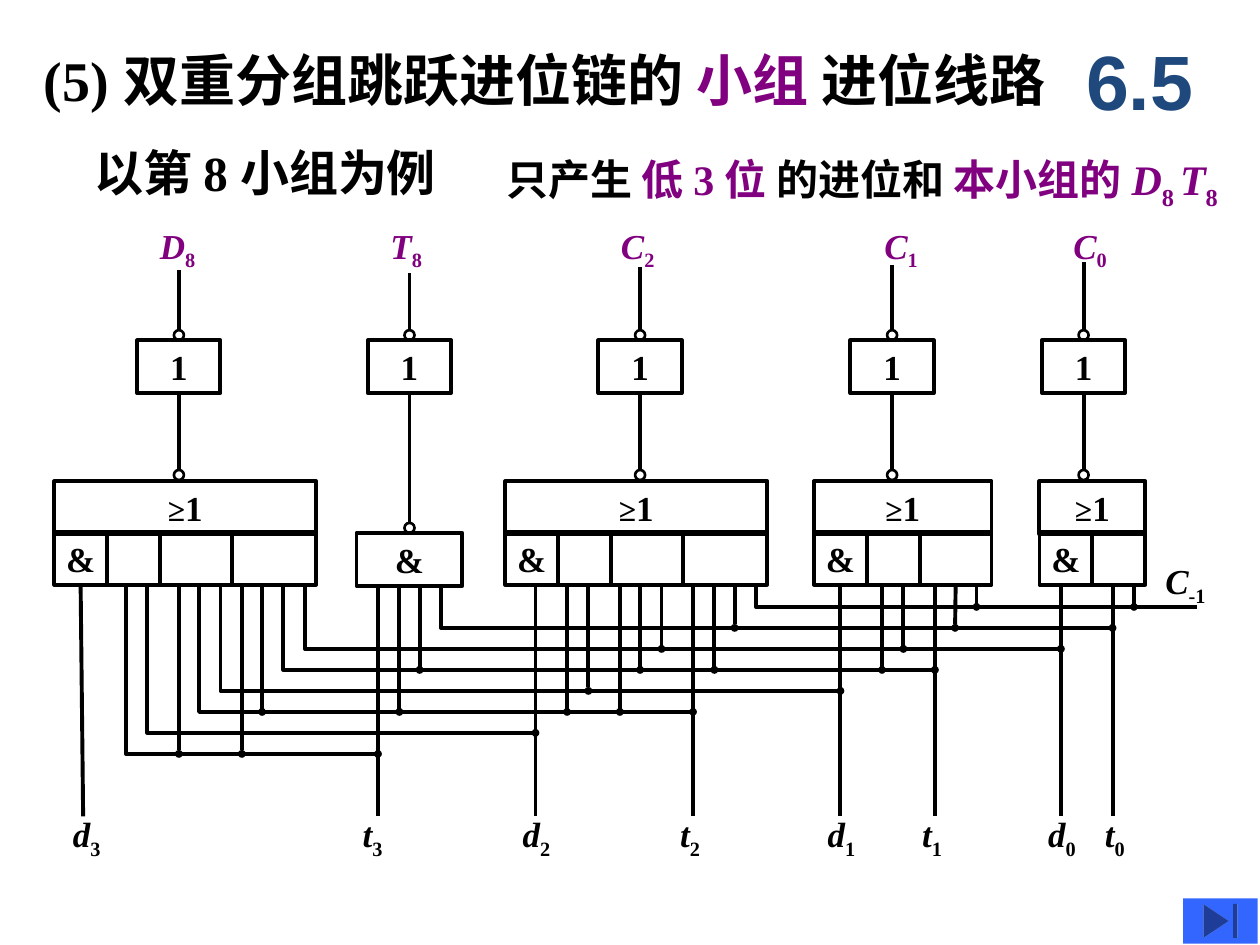
from itertools import accumulate

from lxml.etree import SubElement
from pptx import Presentation
from pptx.dml.color import RGBColor
from pptx.enum.shapes import MSO_CONNECTOR, MSO_SHAPE
from pptx.enum.text import MSO_ANCHOR, PP_ALIGN
from pptx.oxml.ns import qn
from pptx.util import Inches, Pt

BLACK, PURPLE, NAVY, BLUE = "000000", "800080", "1F497D", "3366FF"
SERIF = "Times New Roman"
CELL_WIDTHS = [0.42, 0.42, 0.57, 0.67]
GATE_BOTTOM = 4.65

OUTPUTS = [
    ("D", "8", 1.42, 1.17, 2.14, 3.73),
    ("T", "8", 3.25, 3, 2.17, 4.15),
    ("C", "2", 5.08, 4.83, 2.12, 3.73),
    ("C", "1", 7.08, 6.92, 2.1, 3.73),
    ("C", "0", 8.6, 8.42, 2.08, 3.73),
]
OR_GATES = [(0.43, 4), (4.01, 4), (6.46, 3), (8.25, 2)]
INPUTS = [
    ("d", "3", 0.66, 0.48, 0.43), ("t", "3", 3, 2.78, 0.37),
    ("d", "2", 4.25, 4.05, 0.43), ("t", "2", 5.5, 5.3, 0.37),
    ("d", "1", 6.67, 6.47, 0.43), ("t", "1", 7.42, 7.22, 0.37),
    ("d", "0", 8.42, 8.22, 0.43), ("t", "0", 8.83, 8.67, 0.37),
]
BUSES = [
    (6, 9.5, [7.75, 9]),
    (3.5, 8.83, [5.83, 7.58]),
    (2.42, 8.42, [5.25, 7.17]),
    (2.25, 7.42, [3.33, 5.08, 5.67, 7]),
    (1.75, 6.67, [4.67]),
    (1.58, 5.5, [2.08, 3.17, 4.5, 4.92]),
    (1.17, 4.25, []),
    (1, 3, [1.42, 1.92]),
]


def rgb(color):
    return RGBColor.from_string(color)


def write_text(frame, runs, size=20, color=BLACK, font=SERIF, align=None,
               anchor=MSO_ANCHOR.TOP, wrap=True, margins=None):
    frame.word_wrap = wrap
    frame.vertical_anchor = anchor
    if margins is not None:
        frame.margin_left = frame.margin_right = Inches(margins)
        frame.margin_top = frame.margin_bottom = Inches(margins)
    paragraph = frame.paragraphs[0]
    paragraph.alignment = align
    for text, style in runs:
        run = paragraph.add_run()
        run.text = text
        run.font.name = font
        run.font.size = Pt(style.get("size", size))
        run.font.bold = True
        run.font.italic = style.get("italic", False)
        run.font.color.rgb = rgb(style.get("color", color))
        if style.get("subscript"):
            run.font._element.set("baseline", "-25000")


def add_text(slide, runs, left, top, width, height, **style):
    box = slide.shapes.add_textbox(Inches(left), Inches(top), Inches(width), Inches(height))
    write_text(box.text_frame, runs, **style)


def signal(letter, index, color=BLACK):
    return [(letter, {"italic": True, "color": color}),
            (index, {"subscript": True, "color": color})]


def add_signal(slide, letter, index, left, top, width, color=BLACK):
    add_text(slide, signal(letter, index, color), left, top, width, 0.43, wrap=False)


def add_outline(slide, kind, left, top, width, height, weight=2.25):
    outline = slide.shapes.add_shape(
        kind, Inches(left), Inches(top), Inches(width), Inches(height))
    outline.shadow.inherit = False
    outline.fill.background()
    outline.line.color.rgb = rgb(BLACK)
    outline.line.width = Pt(weight)
    return outline


def add_block(slide, left, top, width, runs=()):
    block = add_outline(slide, MSO_SHAPE.RECTANGLE, left, top, width, 0.42)
    if runs:
        write_text(block.text_frame, runs, align=PP_ALIGN.CENTER,
                   anchor=MSO_ANCHOR.MIDDLE, margins=0)
    return block


def add_bubble(slide, center, top):
    return add_outline(slide, MSO_SHAPE.OVAL, center - 0.04, top, 0.08, 0.08, weight=1.5)


def style_wire(wire, dot):
    wire.line.color.rgb = rgb(BLACK)
    wire.line.width = Pt(2.25)
    if dot:
        SubElement(wire.line._get_or_add_ln(), qn("a:tailEnd"), type="oval", w="sm", len="sm")


def add_wire(slide, x, top, bottom, start=None, end=None, dot=False):
    wire = slide.shapes.add_connector(
        MSO_CONNECTOR.STRAIGHT, Inches(x), Inches(top), Inches(x), Inches(bottom))
    if start is not None:
        wire.begin_connect(start, 2)
    if end is not None:
        wire.end_connect(end, 0)
    style_wire(wire, dot)
    SubElement(wire._element.spPr, qn("a:effectLst"))


def add_gate_wire(slide, cells, x, bottom, dot=False):
    source = next((cell for cell in cells
                   if abs(cell.left + cell.width / 2 - Inches(x)) < Inches(0.025)), None)
    add_wire(slide, x, GATE_BOTTOM, bottom, start=source, dot=dot)


def add_bus(slide, start, end, level, dot):
    builder = slide.shapes.build_freeform(Inches(start), Inches(GATE_BOTTOM))
    builder.add_line_segments(
        [(Inches(start), Inches(level)), (Inches(end), Inches(level))], close=False)
    bus = builder.convert_to_shape()
    bus.shadow.inherit = False
    bus.fill.background()
    style_wire(bus, dot)


def add_output(slide, letter, index, center, label_left, wire_top, gate_bubble_top):
    add_signal(slide, letter, index, label_left, 1.73, 0.48, PURPLE)
    inverter = add_block(slide, center - 0.33, 2.7, 0.66, [("1", {})])
    output_bubble = add_bubble(slide, center, 2.62)
    gate_bubble = add_bubble(slide, center, gate_bubble_top)
    add_wire(slide, center, wire_top, 2.62, end=output_bubble)
    add_wire(slide, center, 3.12, gate_bubble_top, start=inverter, end=gate_bubble)


def add_or_gate(slide, left, count):
    widths = CELL_WIDTHS[:count]
    add_block(slide, left, 3.82, sum(widths), [("≥", {"size": 18}), ("1", {})])
    offsets = accumulate(widths[:-1], initial=0)
    return [add_block(slide, left + offset, 4.22, width, [] if offset else [("&", {})])
            for offset, width in zip(offsets, widths)]


def add_headings(slide):
    purple = {"color": PURPLE}
    add_text(slide, [("(5) 双重分组跳跃进位链的 ", {}), ("小组 ", purple), ("进位线路", {})],
             0.25, 0.25, 8.42, 0.75, size=32, anchor=MSO_ANCHOR.MIDDLE)
    add_text(slide, [("以第 8 小组为例", {})], 0.75, 1.17, 5.12, 0.39,
             size=28, anchor=MSO_ANCHOR.MIDDLE, margins=0)
    add_text(slide, [("只产生 ", {}), ("低 3 位 ", purple), ("的进位和 ", {}),
                     ("本小组的 ", purple), *signal("D", "8 ", PURPLE),
                     *signal("T", "8", PURPLE)],
             3.92, 1.17, 6.08, 0.5, size=24)
    add_text(slide, [("6.5", {})], 8.42, 0.17, 1.25, 0.92, size=44, color=NAVY,
             font="Arial", align=PP_ALIGN.CENTER, anchor=MSO_ANCHOR.MIDDLE)


def add_end_button(slide):
    button = slide.shapes.add_shape(
        MSO_SHAPE.ACTION_BUTTON_END, Inches(9.39), Inches(7.13), Inches(0.59), Inches(0.36))
    button.shadow.inherit = False
    button.fill.solid()
    button.fill.fore_color.rgb = rgb(BLUE)
    button.line.fill.background()


def main():
    deck = Presentation()
    deck.slide_width, deck.slide_height = Inches(10), Inches(7.5)
    slide = deck.slides.add_slide(deck.slide_layouts[6])
    add_headings(slide)
    for output in OUTPUTS:
        add_output(slide, *output)
    cells = [cell for gate in OR_GATES for cell in add_or_gate(slide, *gate)]
    add_block(slide, 2.83, 4.23, 0.84, [("&", {})])
    for number, (start, end, taps) in enumerate(BUSES, 1):
        level = GATE_BOTTOM + number / 6
        add_bus(slide, start, end, level, dot=number > 1)
        for x in taps:
            add_gate_wire(slide, cells, x, level, dot=True)
    for letter, index, x, label_left, label_width in INPUTS:
        add_gate_wire(slide, cells, x, 6.48)
        add_signal(slide, letter, index, label_left, 6.4, label_width)
    add_signal(slide, "C", "-1", 9.15, 4.39, 0.54)
    add_end_button(slide)
    deck.save("out.pptx")


if __name__ == "__main__":
    main()
